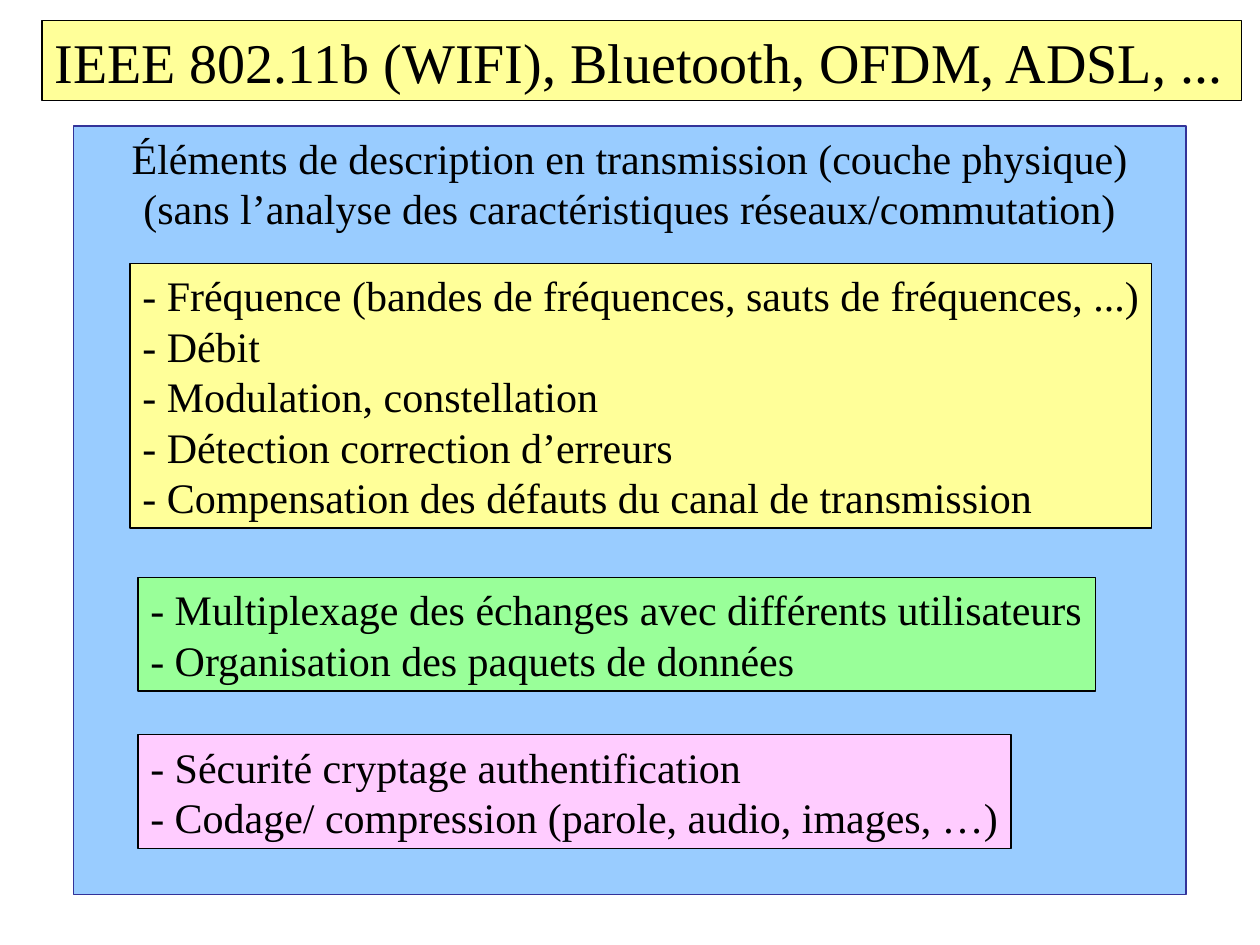
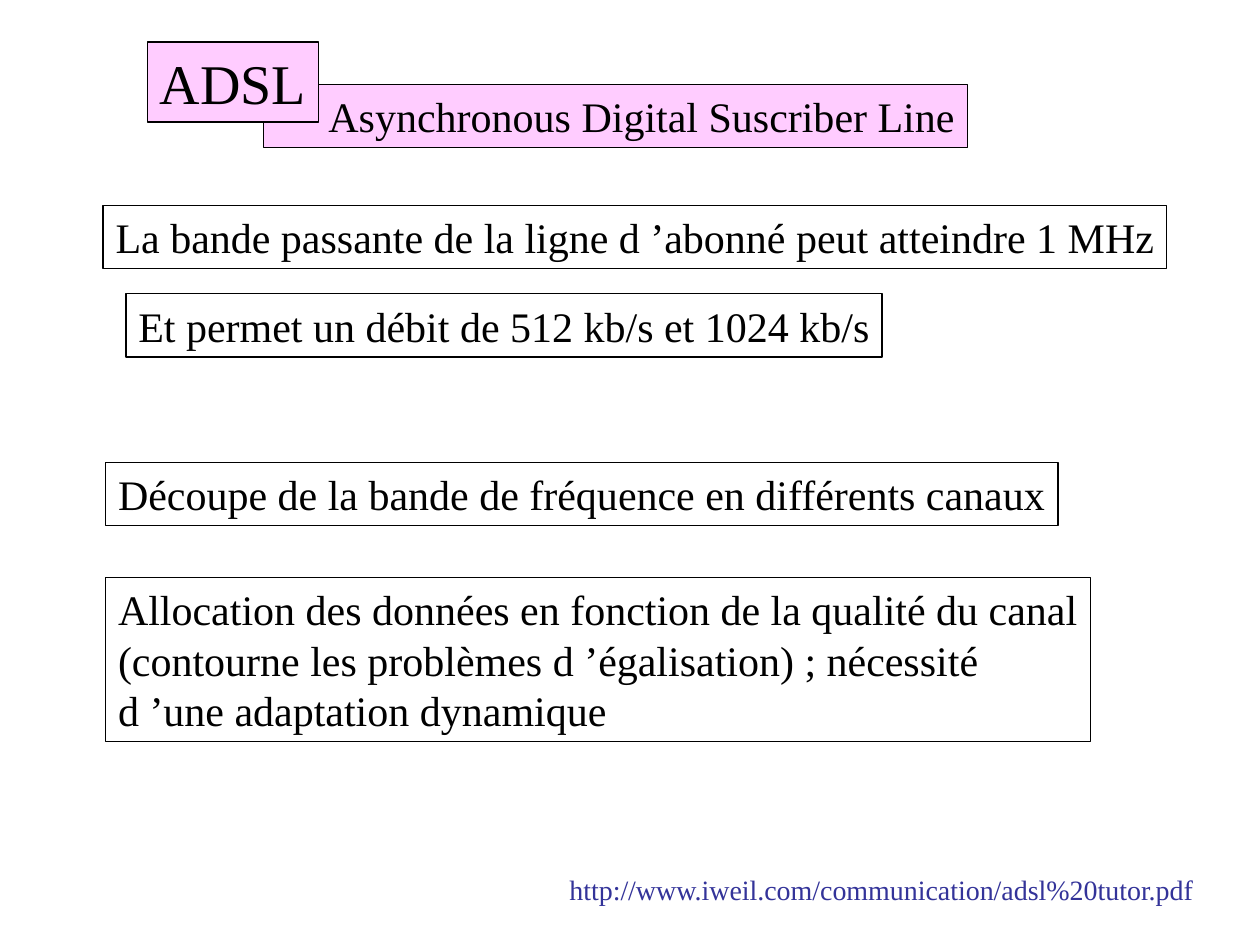
from pptx import Presentation
from pptx.dml.color import RGBColor
from pptx.enum.shapes import MSO_SHAPE
from pptx.enum.text import MSO_ANCHOR, MSO_AUTO_SIZE, PP_ALIGN
from pptx.util import Cm, Pt

BLACK = RGBColor(0x00, 0x00, 0x00)
INDIGO = RGBColor(0x33, 0x33, 0x99)
SKY = RGBColor(0x99, 0xCC, 0xFF)
YELLOW = RGBColor(0xFF, 0xFF, 0x99)
GREEN = RGBColor(0x99, 0xFF, 0x99)
PINK = RGBColor(0xFF, 0xCC, 0xFF)
FONT = "Times New Roman"
TITLE_SIZE = 32
BODY_SIZE = 24
LINK_SIZE = 16
INSET_X = 0.25
INSET_Y = 0.13


def write_text(sp, text, size=BODY_SIZE, color=BLACK, align=PP_ALIGN.LEFT,
               wrap=False, indent=0):
    tf = sp.text_frame
    tf.word_wrap = wrap
    tf.auto_size = MSO_AUTO_SIZE.NONE
    tf.vertical_anchor = MSO_ANCHOR.TOP
    tf.margin_left = Cm(INSET_X + indent)
    tf.margin_right = Cm(INSET_X)
    tf.margin_top = tf.margin_bottom = Cm(INSET_Y)
    for i, line in enumerate(text.split("\n")):
        p = tf.paragraphs[0] if i == 0 else tf.add_paragraph()
        p.alignment = align
        r = p.add_run()
        r.text = line
        r.font.name = FONT
        r.font.size = Pt(size)
        r.font.color.rgb = color


def text_height(text, size):
    lines = text.count("\n") + 1
    return 2 * INSET_Y + lines * size * 0.0423


def add_box(s, x, y, w, text, h=None, fill=None, line=BLACK, size=BODY_SIZE, **fmt):
    h = h or text_height(text, size)
    sp = s.shapes.add_shape(MSO_SHAPE.RECTANGLE, Cm(x), Cm(y), Cm(w), Cm(h))
    sp.shadow.inherit = False
    if fill is None:
        sp.fill.background()
    else:
        sp.fill.solid()
        sp.fill.fore_color.rgb = fill
    sp.line.color.rgb = line
    sp.line.width = Pt(0.75)
    write_text(sp, text, size=size, **fmt)


def add_title(s, x, y, w, text, fill):
    add_box(s, x, y, w, text, fill=fill, size=TITLE_SIZE)


def add_link(s, x, y, w, text):
    h = text_height(text, LINK_SIZE)
    sp = s.shapes.add_textbox(Cm(x), Cm(y), Cm(w), Cm(h))
    write_text(sp, text, size=LINK_SIZE, color=INDIGO)


def add_description_panel(s, x, y, w, h):
    heading = ("Éléments de description en transmission (couche physique)\n"
               "(sans l’analyse des caractéristiques réseaux/commutation)")
    add_box(s, x, y, w, heading, h=h, fill=SKY, line=INDIGO,
            align=PP_ALIGN.CENTER, wrap=True)
    topics = [
        (1.14, 2.77, 20.6, YELLOW,
         ["Fréquence (bandes de fréquences, sauts de fréquences, ...)",
          "Débit",
          "Modulation, constellation",
          "Détection correction d’erreurs",
          "Compensation des défauts du canal de transmission"]),
        (1.3, 9.1, 19.3, GREEN,
         ["Multiplexage des échanges avec différents utilisateurs",
          "Organisation des paquets de données"]),
        (1.3, 12.27, 17.6, PINK,
         ["Sécurité cryptage authentification",
          "Codage/ compression (parole, audio, images, …)"]),
    ]
    for dx, dy, width, fill, items in topics:
        text = "\n".join(f"- {item}" for item in items)
        add_box(s, x + dx, y + dy, width, text, fill=fill)


def add_adsl_header(s, x, y):
    add_box(s, x + 2.34, y + 0.85, 14.2, "Asynchronous Digital Suscriber Line",
            fill=PINK, indent=1.06)
    add_title(s, x, y, 3.45, "ADSL", PINK)


def add_adsl_facts(s, x, y):
    facts = [
        (0, 0, 21.44, "La bande passante de la ligne d ’abonné peut atteindre 1 MHz"),
        (0.46, 1.78, 15.24, "Et permet un débit de 512 kb/s et 1024 kb/s"),
        (0.05, 5.18, 19.2, "Découpe de la bande de fréquence en différents canaux"),
        (0.05, 7.5, 19.86,
         "Allocation des données en fonction de la qualité du canal\n"
         "(contourne les problèmes d ’égalisation) ; nécessité\n"
         "d ’une adaptation dynamique"),
    ]
    for dx, dy, width, text in facts:
        add_box(s, x + dx, y + dy, width, text)


def main():
    prs = Presentation()
    prs.slide_width, prs.slide_height = Cm(25.4), Cm(19.05)
    blank = prs.slide_layouts[6]

    s = prs.slides.add_slide(blank)
    add_description_panel(s, 1.48, 2.54, 22.43, 15.49)
    add_title(s, 0.85, 0.42, 24.18,
              "IEEE 802.11b (WIFI), Bluetooth, OFDM, ADSL, ...", YELLOW)

    s = prs.slides.add_slide(blank)
    add_adsl_header(s, 2.97, 0.85)
    add_adsl_facts(s, 2.08, 4.14)
    add_link(s, 11.23, 17.46, 13.16,
             "http://www.iweil.com/communication/adsl%20tutor.pdf")

    prs.save("out.pptx")


if __name__ == "__main__":
    main()
